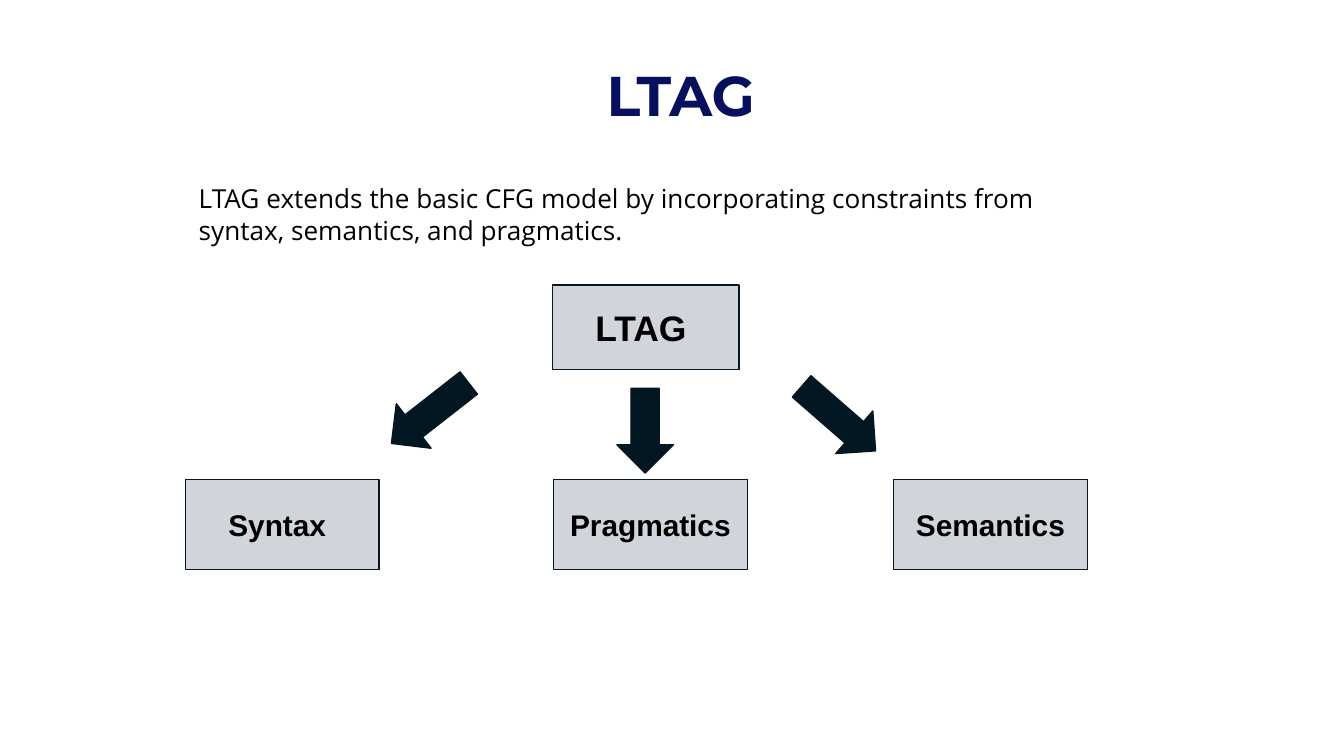
from collections import namedtuple

from pptx import Presentation
from pptx.dml.color import RGBColor
from pptx.enum.shapes import MSO_SHAPE
from pptx.enum.text import MSO_ANCHOR, MSO_AUTO_SIZE, PP_ALIGN
from pptx.util import Inches, Pt

Box = namedtuple("Box", "left top width height")

COLUMN = ROW = Inches(0.1)
INSET = 1
INDENT = 3.2
BLACK, NAVY, INK, GREY = "000000", "07105C", "031723", "D1D5DB"


def colour(value):
    return RGBColor.from_string(value)


def grid(box):
    return (round(box.left * COLUMN), round(box.top * ROW),
            round(box.width * COLUMN), round(box.height * ROW))


def within(region, left, top, width, height):
    return Box(region.left + left, region.top + top, width, height)


def write(shape, text, font, size, value, bold=False, align=PP_ALIGN.LEFT,
          anchor=MSO_ANCHOR.TOP, indent=INSET):
    frame = shape.text_frame
    frame.text = text
    frame.word_wrap = True
    frame.auto_size = MSO_AUTO_SIZE.NONE
    frame.vertical_anchor = anchor
    frame.margin_left = round(indent * COLUMN)
    frame.margin_right = INSET * COLUMN
    frame.margin_top = frame.margin_bottom = INSET * ROW
    para = frame.paragraphs[0]
    para.alignment = align
    for span in para.runs:
        span.font.name = font
        span.font.size = Pt(size)
        span.font.bold = bold
        span.font.color.rgb = colour(value)


def add_title(page, region, text):
    title = page.shapes.title
    title.left, title.top, title.width, title.height = grid(region)
    write(title, text, "Montserrat", 30, NAVY, True, PP_ALIGN.CENTER)


def add_summary(page, region, text):
    summary = page.shapes.add_textbox(*grid(region))
    write(summary, text, "Open Sans", 14, BLACK)


def add_filled(page, kind, box, fill):
    shape = page.shapes.add_shape(kind, *grid(box))
    shape.shadow.inherit = False
    shape.fill.solid()
    shape.fill.fore_color.rgb = colour(fill)
    shape.line.color.rgb = colour(INK)
    shape.line.width = Pt(0.75)
    return shape


def add_node(page, box, text, size, align, indent):
    node = add_filled(page, MSO_SHAPE.RECTANGLE, box, GREY)
    write(node, text, "Arial", size, BLACK, True, align,
          MSO_ANCHOR.MIDDLE, indent)


def add_tree(page, region):
    root = within(region, 27.3, 0, 13.9, 6.3)
    add_node(page, root, "LTAG", 19, PP_ALIGN.LEFT, INDENT)

    child_height = 6.7
    child_top = region.height - child_height
    children = [
        ("Syntax", 0, PP_ALIGN.LEFT, INDENT),
        ("Pragmatics", 27.4, PP_ALIGN.CENTER, INSET),
        ("Semantics", 52.7, PP_ALIGN.CENTER, INSET),
    ]
    for text, left, align, indent in children:
        child = within(region, left, child_top, 14.4, child_height)
        add_node(page, child, text, 16, align, indent)

    arrows = [(16.1, 5.9, 7.3, 52), (46.5, 6.3, 7.3, 311.1), (32.1, 7.7, 6.3, 0)]
    for left, top, length, angle in arrows:
        box = within(region, left, top, 4.2, length)
        arrow = add_filled(page, MSO_SHAPE.DOWN_ARROW, box, INK)
        arrow.rotation = angle


def main():
    deck = Presentation()
    deck.slide_width = Inches(10)
    deck.slide_height = deck.slide_width * 9 // 16
    page = deck.slides.add_slide(deck.slide_layouts.get_by_name("Title Only"))
    add_title(page, Box(9.7, 3.5, 81.9, 6.3), "LTAG")
    add_summary(page, Box(13.8, 12.6, 70.9, 6.7),
                "LTAG extends the basic CFG model by incorporating constraints "
                "from syntax, semantics, and pragmatics.")
    add_tree(page, Box(13.8, 21.2, 67.1, 21.2))
    deck.save("out.pptx")


if __name__ == "__main__":
    main()
